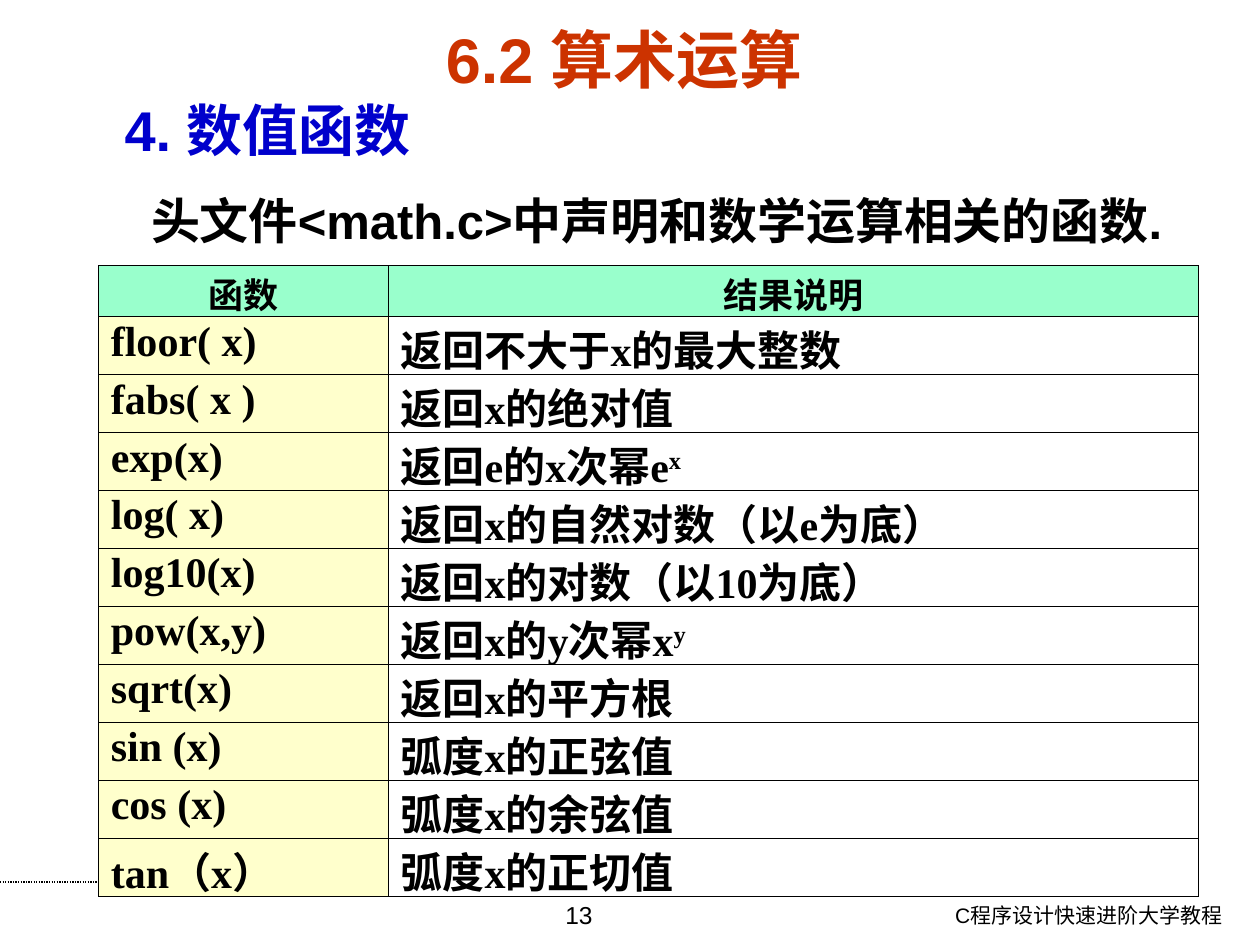
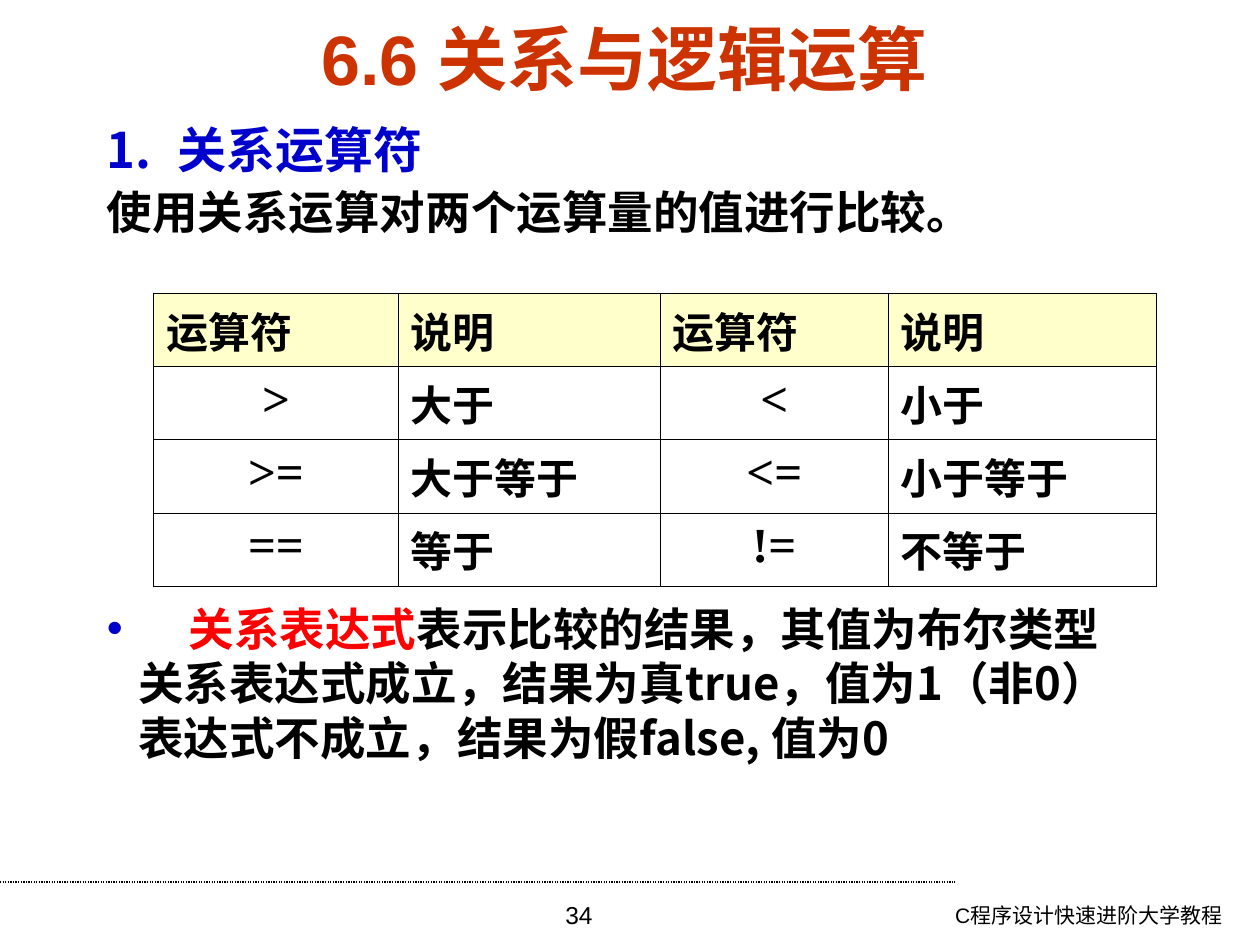
from dataclasses import dataclass

from lxml.etree import SubElement
from pptx import Presentation
from pptx.dml.color import RGBColor
from pptx.enum.dml import MSO_LINE
from pptx.enum.shapes import MSO_CONNECTOR
from pptx.enum.text import MSO_ANCHOR as Anchor, PP_ALIGN as Align
from pptx.oxml import parse_xml
from pptx.oxml.ns import nsdecls, qn
from pptx.util import Inches, Pt


@dataclass(frozen=True)
class Theme:
    black: str = "000000"
    white: str = "FFFFFF"
    title: str = "CC3300"
    heading: str = "0000CC"
    emphasis: str = "FF0000"
    mint: str = "99FFCC"
    cream: str = "FFFFCC"
    sans: str = "Arial"
    serif: str = "Times New Roman"
    cjk: str = "Noto Sans CJK SC"
    footer_size: int = 12
    number_size: int = 14
    header_size: int = 20
    cell_size: int = 24
    body_size: int = 26
    large_size: int = 28
    heading_size: int = 32
    border: float = 0.34
    outer_border: float = 0.45


THEME = Theme()
COURSE = "C程序设计快速进阶大学教程"
SUPERSCRIPT = {"baseline": 30000}

FUNCTIONS = {
    "title": "6.2 算术运算",
    "title_size": 36,
    "number": "13",
    "heading": "4. 数值函数",
    "intro": "头文件<math.c>中声明和数学运算相关的函数.",
    "columns": [2.3, 6.43],
    "heights": [0.4] + [0.46] * 10,
    "rows": [
        ("函数", "结果说明"),
        ("floor( x)", "返回不大于x的最大整数"),
        ("fabs( x )", "返回x的绝对值"),
        ("exp(x)", ["返回e的x次幂e", ("x", SUPERSCRIPT)]),
        ("log( x)", "返回x的自然对数（以e为底）"),
        ("log10(x)", "返回x的对数（以10为底）"),
        ("pow(x,y)", ["返回x的y次幂x", ("y", SUPERSCRIPT)]),
        ("sqrt(x)", "返回x的平方根"),
        ("sin (x)", "弧度x的正弦值"),
        ("cos (x)", "弧度x的余弦值"),
        ("tan（x）", "弧度x的正切值"),
    ],
}

RELATIONS = {
    "title": "6.6 关系与逻辑运算",
    "title_size": 40,
    "number": "34",
    "heading": "关系运算符",
    "intro": "使用关系运算对两个运算量的值进行比较。",
    "columns": [1.94, 2.08, 1.81, 2.13],
    "heights": [0.58] * 4,
    "rows": [
        ("运算符", "说明", "运算符", "说明"),
        (">", "大于", "<", "小于"),
        (">=", "大于等于", "<=", "小于等于"),
        ("==", "等于", "!=", "不等于"),
    ],
    "result": [("关系表达式", {"color": THEME.emphasis}), "表示比较的结果，其值为布尔类型"],
    "cases": ["关系表达式成立，结果为真true，值为1（非0）", "表达式不成立，结果为假false, 值为0"],
}


def add_bullet(properties, tag, font, **attributes):
    color = SubElement(properties, qn("a:buClr"))
    SubElement(color, qn("a:srgbClr"), val=THEME.heading)
    SubElement(properties, qn("a:buFont"), typeface=font)
    SubElement(properties, qn(tag), **attributes)


def write_run(paragraph, text, size, font, color, bold, baseline=0):
    run = paragraph.add_run()
    run.text = text
    run.font.size = Pt(size)
    run.font.bold = bold
    run.font.color.rgb = RGBColor.from_string(color)
    run.font.name = font
    properties = run._r.get_or_add_rPr()
    SubElement(properties, qn("a:ea"), typeface=THEME.cjk)
    if baseline:
        properties.set("baseline", str(baseline))


def write(frame, text, *, size, font=THEME.sans, color=THEME.black, bold=True,
          align=Align.LEFT, spacing=None, before=None, margin=0, hanging=0, bullet=None):
    paragraph = frame.paragraphs[0]
    if paragraph.runs:
        paragraph = frame.add_paragraph()
    properties = paragraph._p.get_or_add_pPr()
    properties.set("marL", str(Inches(margin)))
    properties.set("indent", str(-Inches(hanging)))
    if bullet:
        add_bullet(properties, **bullet)
    paragraph.alignment = align
    if spacing:
        paragraph.line_spacing = spacing
    if before:
        paragraph.space_before = Pt(before)
    style = {"size": size, "font": font, "color": color, "bold": bold}
    for run in [text] if isinstance(text, str) else text:
        words, changes = (run, {}) if isinstance(run, str) else run
        write_run(paragraph, words, **{**style, **changes})


def add_frame(slide, left, top, width, height, anchor=Anchor.TOP):
    shape = slide.shapes.add_textbox(Inches(left), Inches(top), Inches(width), Inches(height))
    frame = shape.text_frame
    frame.word_wrap = True
    frame.vertical_anchor = anchor
    return frame


def set_borders(cell, widths):
    properties = cell._tc.get_or_add_tcPr()
    for position, (side, width) in enumerate(widths.items()):
        properties.insert(position, parse_xml(
            f'<a:ln{side} {nsdecls("a")} w="{Pt(width)}"><a:solidFill>'
            f'<a:srgbClr val="{THEME.black}"/></a:solidFill></a:ln{side}>'))


def add_grid(slide, content, left, top, cell_format):
    rows, columns, heights = content["rows"], content["columns"], content["heights"]
    table = slide.shapes.add_table(
        len(rows), len(columns), Inches(left), Inches(top),
        Inches(sum(columns)), Inches(sum(heights))).table
    for column, width in zip(table.columns, columns):
        column.width = Inches(width)
    for row, height in zip(table.rows, heights):
        row.height = Inches(height)
    for row_index, row in enumerate(rows):
        for column_index, text in enumerate(row):
            cell = table.cell(row_index, column_index)
            fill, text_format = cell_format(row_index, column_index)
            cell.margin_left = cell.margin_right = Inches(0.1)
            cell.margin_top = cell.margin_bottom = Inches(0.05)
            cell.fill.solid()
            cell.fill.fore_color.rgb = RGBColor.from_string(fill)
            set_borders(cell, {
                "L": THEME.border,
                "R": THEME.border,
                "T": THEME.border if row_index else THEME.outer_border,
                "B": THEME.border if row_index < len(rows) - 1 else THEME.outer_border,
            })
            write(cell.text_frame, text, font=THEME.serif, **text_format)


def function_cell(row, column):
    if row == 0:
        return THEME.mint, {"size": THEME.header_size, "align": Align.CENTER, "spacing": 0.9}
    fill = THEME.white if column else THEME.cream
    return fill, {"size": THEME.cell_size, "spacing": 0.9}


def relation_cell(row, column):
    if row == 0:
        return THEME.cream, {"size": THEME.cell_size}
    if column % 2:
        return THEME.white, {"size": THEME.cell_size}
    return THEME.white, {"size": THEME.large_size, "align": Align.CENTER}


def add_slide(presentation, content):
    slide = presentation.slides.add_slide(presentation.slide_layouts[6])
    rule = slide.shapes.add_connector(
        MSO_CONNECTOR.STRAIGHT, 0, Inches(7), Inches(7.58), Inches(7))
    rule.line.color.rgb = RGBColor.from_string(THEME.black)
    rule.line.width = Pt(0.75)
    rule.line.dash_style = MSO_LINE.ROUND_DOT
    SubElement(rule._element.spPr, qn("a:effectLst"))
    write(add_frame(slide, 6.57, 7.11, 3.23, 0.39), COURSE,
          size=THEME.footer_size, bold=False, align=Align.RIGHT)
    write(add_frame(slide, 3.43, 7.09, 2.33, 0.41), content["number"],
          size=THEME.number_size, bold=False, align=Align.CENTER)
    write(add_frame(slide, 0.43, 0.21, 9.05, 0.5, Anchor.MIDDLE), content["title"],
          size=content["title_size"], color=THEME.title, align=Align.CENTER)
    return slide


def build_functions(presentation):
    slide = add_slide(presentation, FUNCTIONS)
    write(add_frame(slide, 0.89, 0.71, 6, 0.74), FUNCTIONS["heading"],
          size=THEME.heading_size, color=THEME.heading)
    write(add_frame(slide, 1.1, 1.46, 8.85, 0.66), FUNCTIONS["intro"], size=THEME.large_size)
    add_grid(slide, FUNCTIONS, 0.78, 2.11, function_cell)


def build_relations(presentation):
    slide = add_slide(presentation, RELATIONS)
    opening = add_frame(slide, 0.75, 0.9, 8.82, 1.25)
    write(opening, RELATIONS["heading"], size=THEME.large_size, color=THEME.heading,
          margin=0.56, hanging=0.56,
          bullet={"tag": "a:buAutoNum", "font": THEME.cjk, "type": "arabicPeriod"})
    body = {"size": THEME.body_size, "font": THEME.cjk}
    write(opening, RELATIONS["intro"], spacing=0.9, before=6.5, **body)
    add_grid(slide, RELATIONS, 1.22, 2.33, relation_cell)
    closing = add_frame(slide, 0.75, 4.72, 8.82, 1.7)
    write(closing, RELATIONS["result"], margin=0.65, hanging=0.65,
          bullet={"tag": "a:buChar", "font": THEME.sans, "char": "•"}, **body)
    for case in RELATIONS["cases"]:
        write(closing, case, margin=0.25, **body)


def main():
    presentation = Presentation()
    presentation.slide_width = Inches(10)
    presentation.slide_height = Inches(7.5)
    build_functions(presentation)
    build_relations(presentation)
    presentation.save("out.pptx")


if __name__ == "__main__":
    main()
